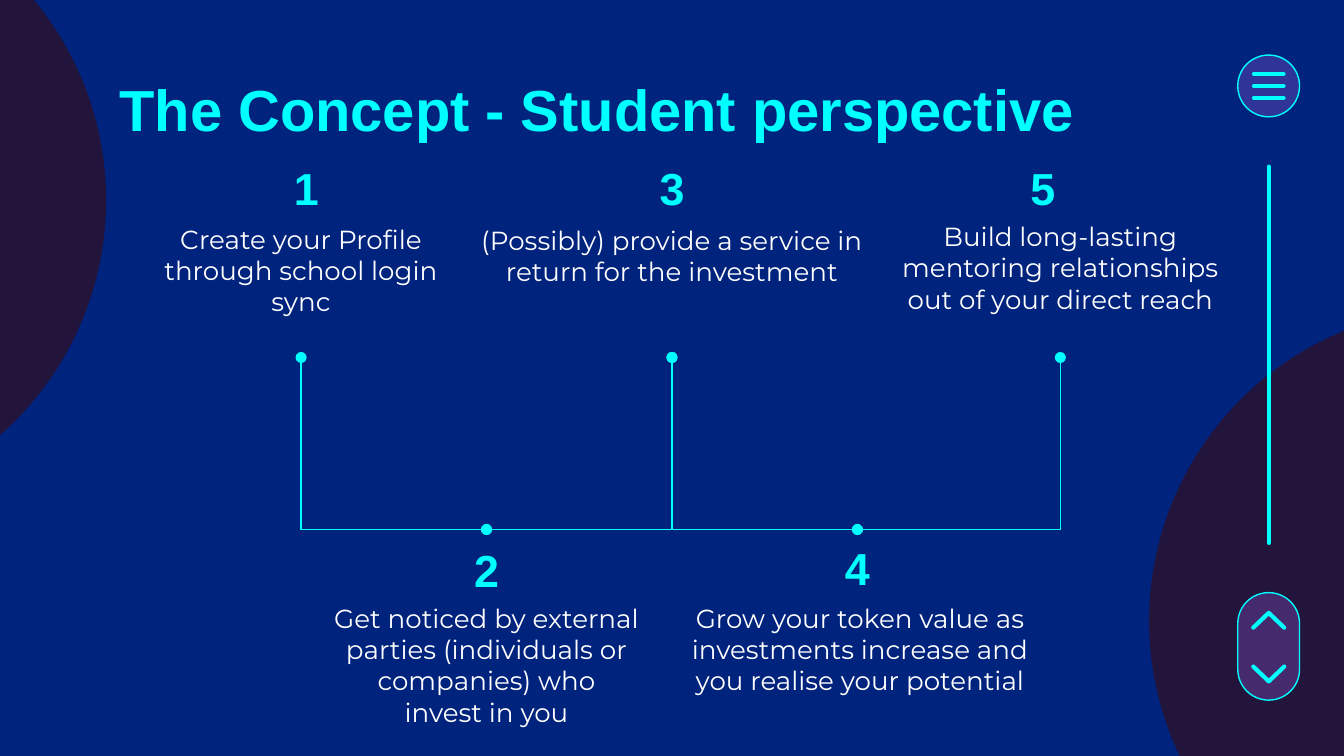
from lxml.etree import SubElement
from pptx import Presentation
from pptx.dml.color import RGBColor
from pptx.enum.shapes import MSO_CONNECTOR, MSO_SHAPE
from pptx.enum.text import MSO_ANCHOR, MSO_AUTO_SIZE, PP_ALIGN
from pptx.oxml.ns import qn
from pptx.util import Inches, Pt

COLORS = {"back": "00237D", "disc": "23143B", "cyan": "00FFFF",
          "button": "8456C9", "white": "FFFFFF"}
TITLE = "The Concept - Student perspective"
# number, paragraphs, number centre, number top, text centre, text top, text width
STEPS = [
    ("1", ["Create your Profile through school login sync"], 2.28, 1.18, 2.24, 1.56, 2.4),
    ("2", ["Get noticed by external parties (individuals or companies) who",
           "invest in you"], 3.62, 4.02, 3.62, 4.38, 2.99),
    ("3", ["(Possibly) provide a service in return for the investment"],
     5, 1.18, 5, 1.57, 3.12),
    ("4", ["Grow your token value as investments increase and you realise your potential"],
     6.38, 4.01, 6.4, 4.38, 2.76),
    ("5", ["Build long-lasting mentoring relationships out of your direct reach"],
     7.76, 1.18, 7.89, 1.54, 2.65),
]
UPPER, LOWER = 2.66, 3.94
# from an upper node to a lower node
BRANCHES = [(2.24, 3.62), (5, 3.62), (5, 6.38), (7.89, 6.38)]
DISCS = [(8.55, 2.29), (-3.87, -0.84)]
DISC_SIZE = 4.66
NAV_X, NAV_W = 9.21, 0.46
NAV_MID = NAV_X + NAV_W / 2
BUTTONS = [(0.41, 0.46), (4.41, 0.8)]  # top, height
MENU_TOP, MENU_GAP, MENU_W = 0.55, 0.09, 0.22
CHEVRONS = [(4.5, 270), (4.9, 90)]  # top, rotation


def rgb(name):
    return RGBColor.from_string(COLORS[name])


def set_line(s, width, rounded=False):
    s.line.color.rgb = rgb("cyan")
    s.line.width = Pt(width)
    if rounded:
        s.line._get_or_add_ln().set("cap", "rnd")


def add_shape(kind, x, y, w, h, fill=None, alpha=None):
    s = slide.shapes.add_shape(kind, Inches(x), Inches(y), Inches(w), Inches(h))
    s.shadow.inherit = False
    if fill:
        s.fill.solid()
        s.fill.fore_color.rgb = rgb(fill)
    else:
        s.fill.background()
    if alpha:
        color = s.fill._xPr.find(".//" + qn("a:srgbClr"))
        SubElement(color, qn("a:alpha"), val=str(alpha * 1000))
    return s


def add_line(x1, y1, x2, y2, width, kind=MSO_CONNECTOR.STRAIGHT):
    s = slide.shapes.add_connector(kind, Inches(x1), Inches(y1), Inches(x2), Inches(y2))
    set_line(s, width, rounded=kind == MSO_CONNECTOR.STRAIGHT)
    SubElement(s._element.spPr, qn("a:effectLst"))
    return s


def add_branch(x1, x2):
    """Elbow that drops first, then runs sideways, with a dot at each end."""
    s = add_line(x1, UPPER, x2, LOWER, 0.75, MSO_CONNECTOR.ELBOW)
    guides = s._element.spPr.find(qn("a:prstGeom")).get_or_add_avLst()
    SubElement(guides, qn("a:gd"), name="adj1", fmla="val 0")
    ln = s.line._get_or_add_ln()
    for end in ("a:headEnd", "a:tailEnd"):
        SubElement(ln, qn(end), type="oval", w="med", len="med")


def write(s, lines, font, size, color, bold=False, align=PP_ALIGN.CENTER,
          anchor=MSO_ANCHOR.TOP):
    tf = s.text_frame
    tf.word_wrap = True
    tf.auto_size = MSO_AUTO_SIZE.NONE
    tf.vertical_anchor = anchor
    tf.margin_left = tf.margin_right = tf.margin_top = tf.margin_bottom = Inches(0.1)
    tf.text = "\n".join(lines)
    for p in tf.paragraphs:
        p.alignment = align
        p.font.name, p.font.size, p.font.bold = font, Pt(size), bold
        p.font.color.rgb = rgb(color)


def add_text(center, top, width, height, lines, *style, **options):
    s = slide.shapes.add_textbox(Inches(center - width / 2), Inches(top),
                                 Inches(width), Inches(height))
    write(s, lines, *style, **options)


prs = Presentation()
prs.slide_width, prs.slide_height = Inches(10), Inches(5.625)
slide = prs.slides.add_slide(prs.slide_layouts[5])
slide.background.fill.solid()
slide.background.fill.fore_color.rgb = rgb("back")

for x, y in DISCS:
    add_shape(MSO_SHAPE.OVAL, x, y, DISC_SIZE, DISC_SIZE, "disc").line.fill.background()

add_line(NAV_MID, 1.24, NAV_MID, 4.04, 2.25)
for top, height in BUTTONS:
    button = add_shape(MSO_SHAPE.ROUNDED_RECTANGLE, NAV_X, top, NAV_W, height,
                       "button", 36)
    button.adjustments[0] = 0.5
    set_line(button, 0.75)
for row in range(3):
    y = MENU_TOP + row * MENU_GAP
    add_line(NAV_MID - MENU_W / 2, y, NAV_MID + MENU_W / 2, y, 2.25)
for top, rotation in CHEVRONS:
    chevron = add_shape(MSO_SHAPE.CHEVRON, NAV_MID - 0.055, top, 0.11, 0.23)
    chevron.adjustments[0] = 1
    chevron.rotation = rotation
    set_line(chevron, 2.25, rounded=True)

for number, lines, num_x, num_y, text_x, text_y, width in STEPS:
    add_text(text_x, text_y, width, 1.1, lines, "Montserrat", 14, "white")
    add_text(num_x, num_y, 2.4, 0.43, [number], "Arial", 24, "cyan", bold=True,
             anchor=MSO_ANCHOR.MIDDLE)
for x1, x2 in BRANCHES:
    add_branch(x1, x2)

title = slide.shapes.title
title.left, title.top = Inches(0.79), Inches(0.49)
title.width, title.height = Inches(8.73), Inches(0.63)
write(title, [TITLE], "Arial", 31, "cyan", bold=True, align=PP_ALIGN.LEFT,
      anchor=MSO_ANCHOR.MIDDLE)

prs.save("out.pptx")
